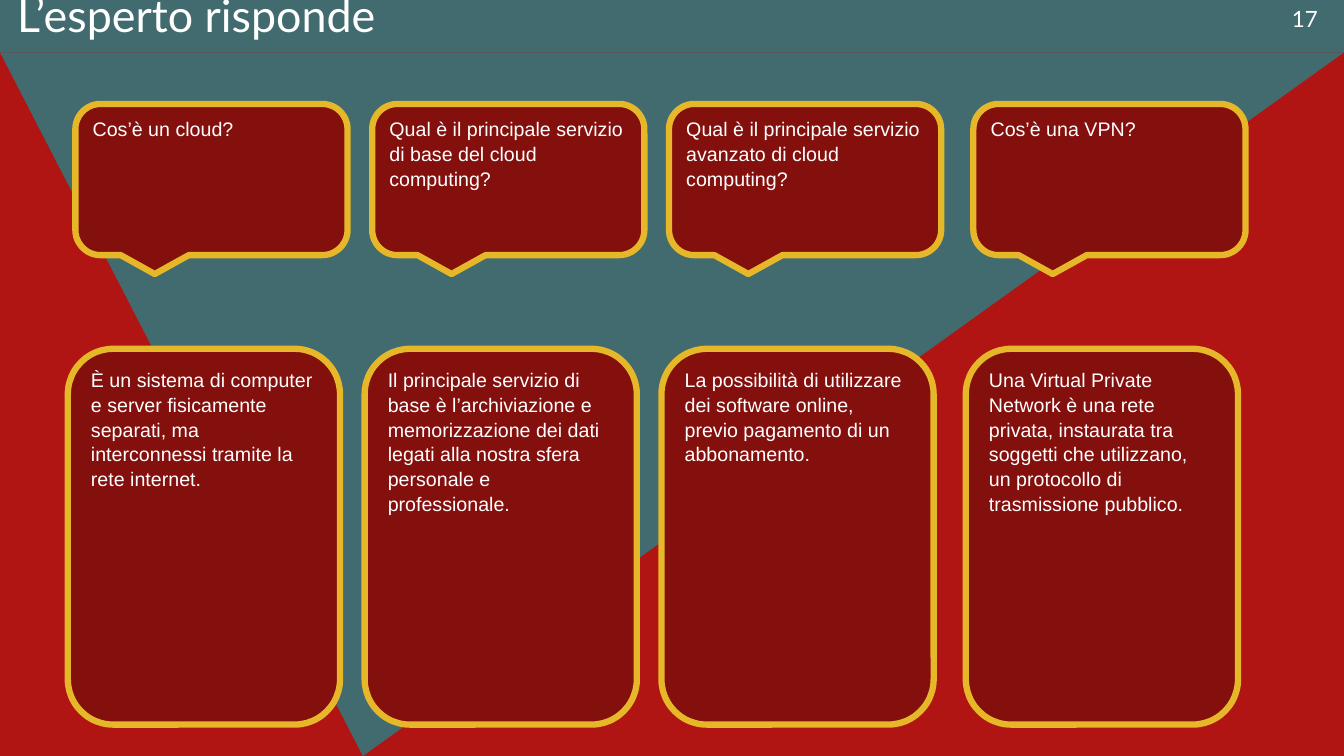
from dataclasses import dataclass

import pptx
import pptx.dml.color
import pptx.enum.shapes
import pptx.enum.text
import pptx.util
from pptx.util import Cm

SHAPES = pptx.enum.shapes.MSO_SHAPE


@dataclass(frozen=True)
class Theme:
    background: str = "B01513"
    teal: str = "426B6F"
    card: str = "84100E"
    border: str = "E6B729"
    text: str = "FFFFFF"
    heading_font: str = "Lato"
    body_font: str = "Arial"
    title_size: int = 32
    number_size: int = 16
    body_size: int = 14
    border_width: float = 4.5


THEME = Theme()
SLIDE_WIDTH, SLIDE_HEIGHT = 33.87, 19.05
BAND_HEIGHT = 1.32
CARD_WIDTH = 6.86
QUESTION_TOP, QUESTION_HEIGHT = 2.62, 3.81
ANSWER_TOP, ANSWER_HEIGHT = 8.79, 9.47
ANSWER_SHIFT = -0.19

# Left edge of the question, question, answer
CARDS = [
    (1.9, "Cos’è un cloud?",
     "È un sistema di computer e server fisicamente separati, ma "
     "interconnessi tramite la rete internet."),
    (9.38, "Qual è il principale servizio di base del cloud computing?",
     "Il principale servizio di base è l’archiviazione e memorizzazione dei "
     "dati legati alla nostra sfera personale e professionale."),
    (16.86, "Qual è il principale servizio avanzato di cloud computing?",
     "La possibilità di utilizzare dei software online, previo pagamento di "
     "un abbonamento."),
    (24.53, "Cos’è una VPN?",
     "Una Virtual Private Network è una rete privata, instaurata tra soggetti "
     "che utilizzano, un protocollo di trasmissione pubblico."),
]


def color(value):
    return pptx.dml.color.RGBColor.from_string(value)


def write_text(shape, text, font, size, line_spacing=1.0):
    frame = shape.text_frame
    frame.word_wrap = True
    frame.vertical_anchor = pptx.enum.text.MSO_ANCHOR.TOP
    paragraph = frame.paragraphs[0]
    paragraph.alignment = pptx.enum.text.PP_ALIGN.LEFT
    paragraph.line_spacing = line_spacing
    run = paragraph.add_run()
    run.text = text
    run.font.name = font
    run.font.size = pptx.util.Pt(size)
    run.font.color.rgb = color(THEME.text)


def add_filled_shape(slide, kind, left, top, width, height, fill):
    shape = slide.shapes.add_shape(kind, Cm(left), Cm(top), Cm(width), Cm(height))
    shape.shadow.inherit = False
    shape.fill.solid()
    shape.fill.fore_color.rgb = color(fill)
    shape.line.fill.background()
    return shape


def add_card(slide, kind, left, top, height, text):
    card = add_filled_shape(slide, kind, left, top, CARD_WIDTH, height, THEME.card)
    card.line.color.rgb = color(THEME.border)
    card.line.width = pptx.util.Pt(THEME.border_width)
    write_text(card, text, THEME.body_font, THEME.body_size, 1.05)


def add_heading(slide, left, top, width, text, size):
    box = slide.shapes.add_textbox(Cm(left), Cm(top), Cm(width), Cm(0.94))
    write_text(box, text, THEME.heading_font, size)


def main():
    presentation = pptx.Presentation()
    presentation.slide_width = Cm(SLIDE_WIDTH)
    presentation.slide_height = Cm(SLIDE_HEIGHT)
    slide = presentation.slides.add_slide(presentation.slide_layouts[6])

    # Background: red field, downward triangle and top band
    slide.background.fill.solid()
    slide.background.fill.fore_color.rgb = color(THEME.background)
    triangle = add_filled_shape(slide, SHAPES.ISOSCELES_TRIANGLE, 0, BAND_HEIGHT,
                                SLIDE_WIDTH, SLIDE_HEIGHT - BAND_HEIGHT, THEME.teal)
    triangle.rotation = 180
    triangle.adjustments[0] = 0.73
    add_filled_shape(slide, SHAPES.RECTANGLE, 0, 0, SLIDE_WIDTH, BAND_HEIGHT, THEME.teal)

    # Slide number and title
    add_heading(slide, 32.31, 0, 1.4, "17", THEME.number_size)
    add_heading(slide, 0.18, -0.43, 31.93, "L’esperto risponde", THEME.title_size)

    # Questions above their answers
    for left, question, answer in CARDS:
        add_card(slide, SHAPES.ROUNDED_RECTANGULAR_CALLOUT, left,
                 QUESTION_TOP, QUESTION_HEIGHT, question)
        add_card(slide, SHAPES.ROUNDED_RECTANGLE, left + ANSWER_SHIFT,
                 ANSWER_TOP, ANSWER_HEIGHT, answer)

    presentation.save("out.pptx")


if __name__ == "__main__":
    main()
